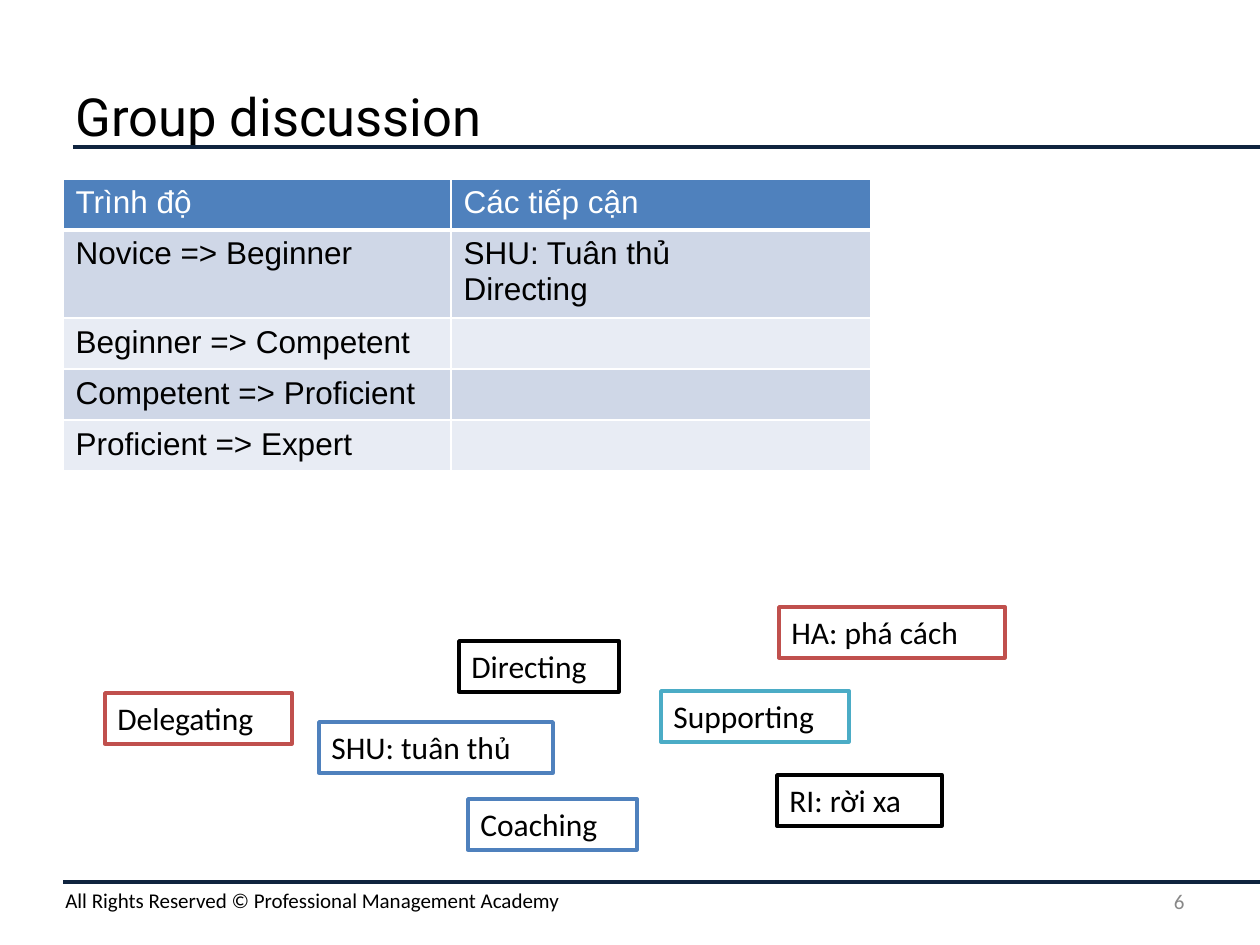
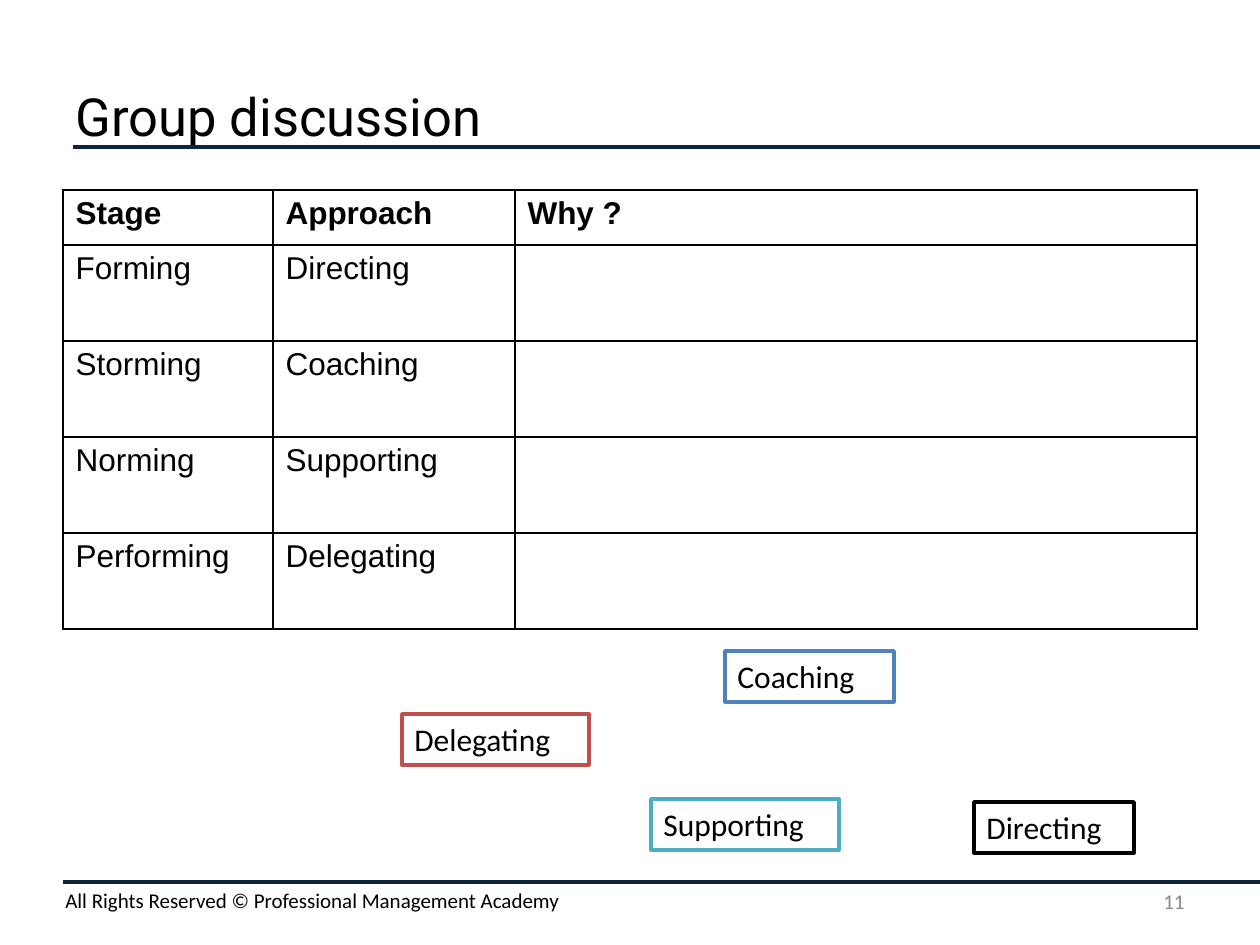
from lxml import etree
from pptx import Presentation
from pptx import util as u
from pptx.dml.color import RGBColor
from pptx.enum import shapes, text
from pptx.oxml.ns import qn

PX = 914400 / 126  # one px in EMU
WIDE, HIGH = 1260, 945
COLORS = {
    "ink": "000000", "paper": "FFFFFF", "rule": "0F243E", "page": "888888",
    "blue": "4F81BD", "red": "C0504D", "teal": "4BACC6",
    "dark": "CFD7E7", "light": "E8ECF4",
}
FOOTER = "All Rights Reserved © Professional Management Academy"
CARD_H = 51
# Label: width and outline colour
CARDS = {
    "SHU: tuân thủ": (234, "blue"),
    "HA: phá cách": (226, "red"),
    "RI: rời xa": (165, "ink"),
    "Delegating": (187, "red"),
    "Directing": (160, "ink"),
    "Supporting": (188, "teal"),
    "Coaching": (169, "blue"),
}


def emu(*lengths):
    return [round(n * PX) for n in lengths]


def rgb(name):
    return RGBColor.from_string(COLORS[name])


def write(frame, words, size=18, face="Calibri", color="ink", bold=False,
          align=text.PP_ALIGN.LEFT, anchor=None):
    """Fill a text frame, one paragraph for each line of words."""
    frame.word_wrap = True
    if anchor is not None:
        frame.vertical_anchor = anchor
    frame.text = words
    for para in frame.paragraphs:
        para.alignment = align
        font = para.font
        font.size, font.name, font.bold = u.Pt(size), face, bold
        font.color.rgb = rgb(color)


def add_text(slide, box, words, **style):
    write(slide.shapes.add_textbox(*emu(*box)).text_frame, words, **style)


def add_rule(slide, left, top):
    """Draw a line from left to the slide's right edge."""
    line = slide.shapes.add_connector(
        shapes.MSO_CONNECTOR.STRAIGHT, *emu(left, top, WIDE, top))
    line.line.color.rgb = rgb("rule")
    line.line.width = u.Pt(2)
    etree.SubElement(line._element.spPr, qn("a:effectLst"))


def add_card(slide, label, left, top):
    width, color = CARDS[label]
    card = slide.shapes.add_shape(
        shapes.MSO_SHAPE.RECTANGLE, *emu(left, top, width, CARD_H))
    card.shadow.inherit = False
    card.fill.solid()
    card.fill.fore_color.rgb = rgb("paper")
    card.line.color.rgb = rgb(color)
    card.line.width = u.Pt(2)
    write(card.text_frame, label, anchor=text.MSO_ANCHOR.TOP)


def add_edge(cell, side, color, width):
    props = cell._tc.get_or_add_tcPr()
    edge = etree.SubElement(props, qn("a:ln" + side), w=str(u.Pt(width)))
    fill = etree.SubElement(edge, qn("a:solidFill"))
    etree.SubElement(fill, qn("a:srgbClr"), val=COLORS[color])


def add_grid(slide, left, top, cols, rows, cells, edge, fills=None,
             head="ink", bold=False, head_edge=1):
    """Add a table; fills names one colour per row, or None for clear."""
    table = slide.shapes.add_table(
        len(rows), len(cols), *emu(left, top, sum(cols), sum(rows))).table
    table.first_row = table.horz_banding = False
    for col, width in zip(table.columns, emu(*cols)):
        col.width = width
    for r, height in enumerate(emu(*rows)):
        table.rows[r].height = height
        for c, words in enumerate(cells[r]):
            cell = table.cell(r, c)
            for side in "LRTB":
                heavy = (r, side) in ((0, "B"), (1, "T"))
                add_edge(cell, side, edge, head_edge if heavy else 1)
            if fills:
                cell.fill.solid()
                cell.fill.fore_color.rgb = rgb(fills[r])
            else:
                cell.fill.background()
            write(cell.text_frame, words, face="Arial",
                  color="ink" if r else head, bold=bold and r == 0)


def add_page(deck, number):
    """Add a slide with the shared title, rules and footer."""
    slide = deck.slides.add_slide(deck.slide_layouts[5])
    add_rule(slide, 73, 147)
    add_rule(slide, 63, 882)
    add_text(slide, (53, 881, 1207, 38), FOOTER, size=12)
    title = slide.shapes.title
    title.left, title.top, title.width, title.height = emu(63, 63, 1134, 105)
    write(title.text_frame, "Group discussion", size=30, face="Roboto",
          anchor=text.MSO_ANCHOR.MIDDLE)
    add_text(slide, (903, 876, 294, 50), str(number), size=12, color="page",
             align=text.PP_ALIGN.RIGHT, anchor=text.MSO_ANCHOR.MIDDLE)
    return slide


def main():
    deck = Presentation()
    deck.slide_width, deck.slide_height = emu(WIDE, HIGH)

    # Skill levels and approaches
    slide = add_page(deck, 6)
    levels = [
        ("Trình độ", "Các tiếp cận"),
        ("Novice => Beginner", "SHU: Tuân thủ\nDirecting"),
        ("Beginner => Competent", ""),
        ("Competent => Proficient", ""),
        ("Proficient => Expert", ""),
    ]
    add_grid(slide, 63, 179, (388, 420), (51, 83, 51, 51, 51), levels,
             edge="paper", fills=["blue"] + ["dark", "light"] * 2,
             head="paper", head_edge=3)
    for label, left, top in (
            ("SHU: tuân thủ", 319, 722), ("HA: phá cách", 779, 607),
            ("RI: rời xa", 777, 775), ("Delegating", 105, 693),
            ("Directing", 459, 641), ("Supporting", 661, 691),
            ("Coaching", 468, 799)):
        add_card(slide, label, left, top)

    # Team stages and approaches
    slide = add_page(deck, 11)
    for label, left, top in (
            ("Delegating", 402, 714), ("Directing", 974, 802),
            ("Supporting", 651, 799), ("Coaching", 725, 651)):
        add_card(slide, label, left, top)
    stages = [
        ("Stage", "Approach", "Why ?"),
        ("Forming", "Directing", ""),
        ("Storming", "Coaching", ""),
        ("Norming", "Supporting", ""),
        ("Performing", "Delegating", ""),
    ]
    add_grid(slide, 63, 190, (210, 242, 682), [55] + [96] * 4, stages,
             edge="ink", bold=True)

    deck.save("out.pptx")


if __name__ == "__main__":
    main()
